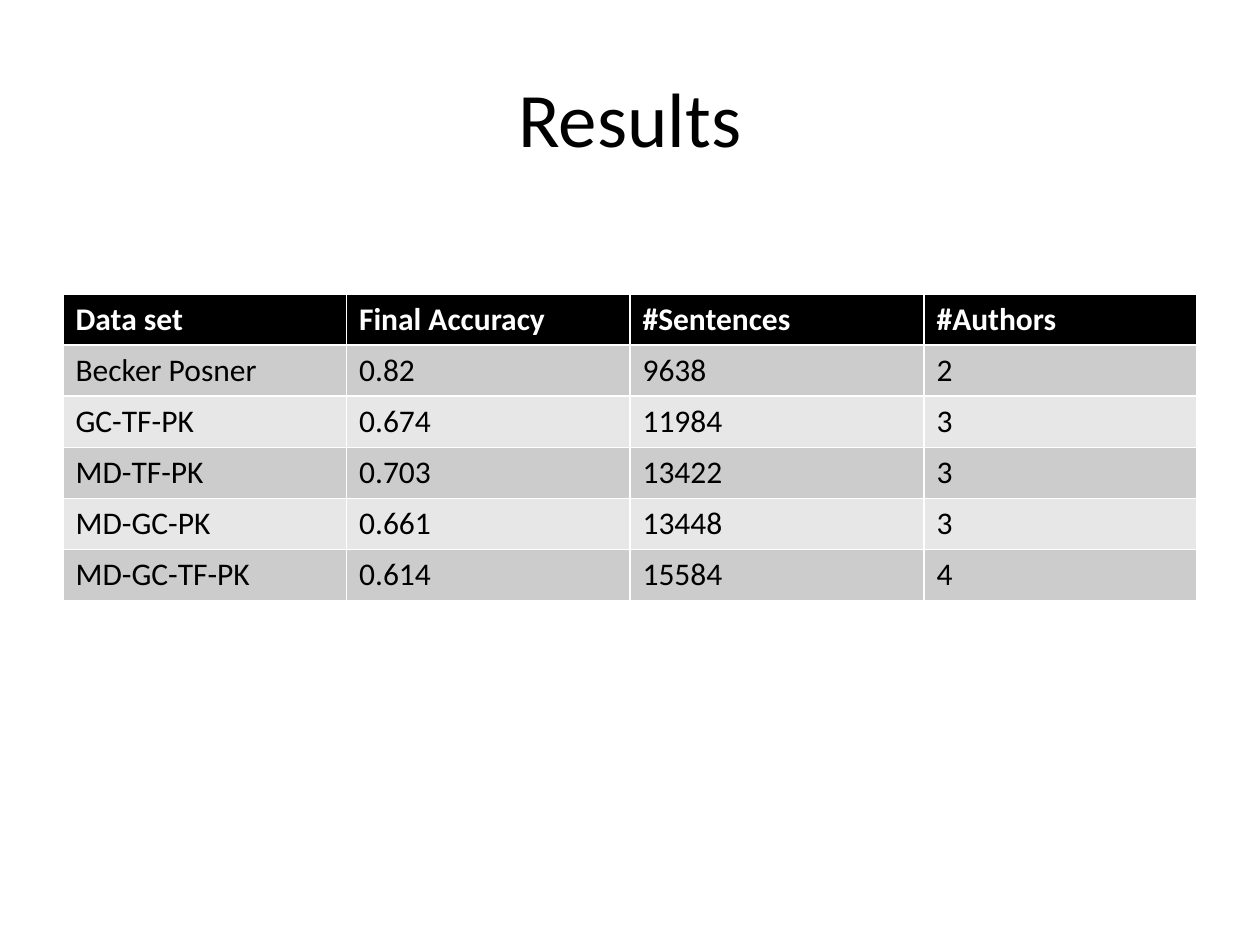
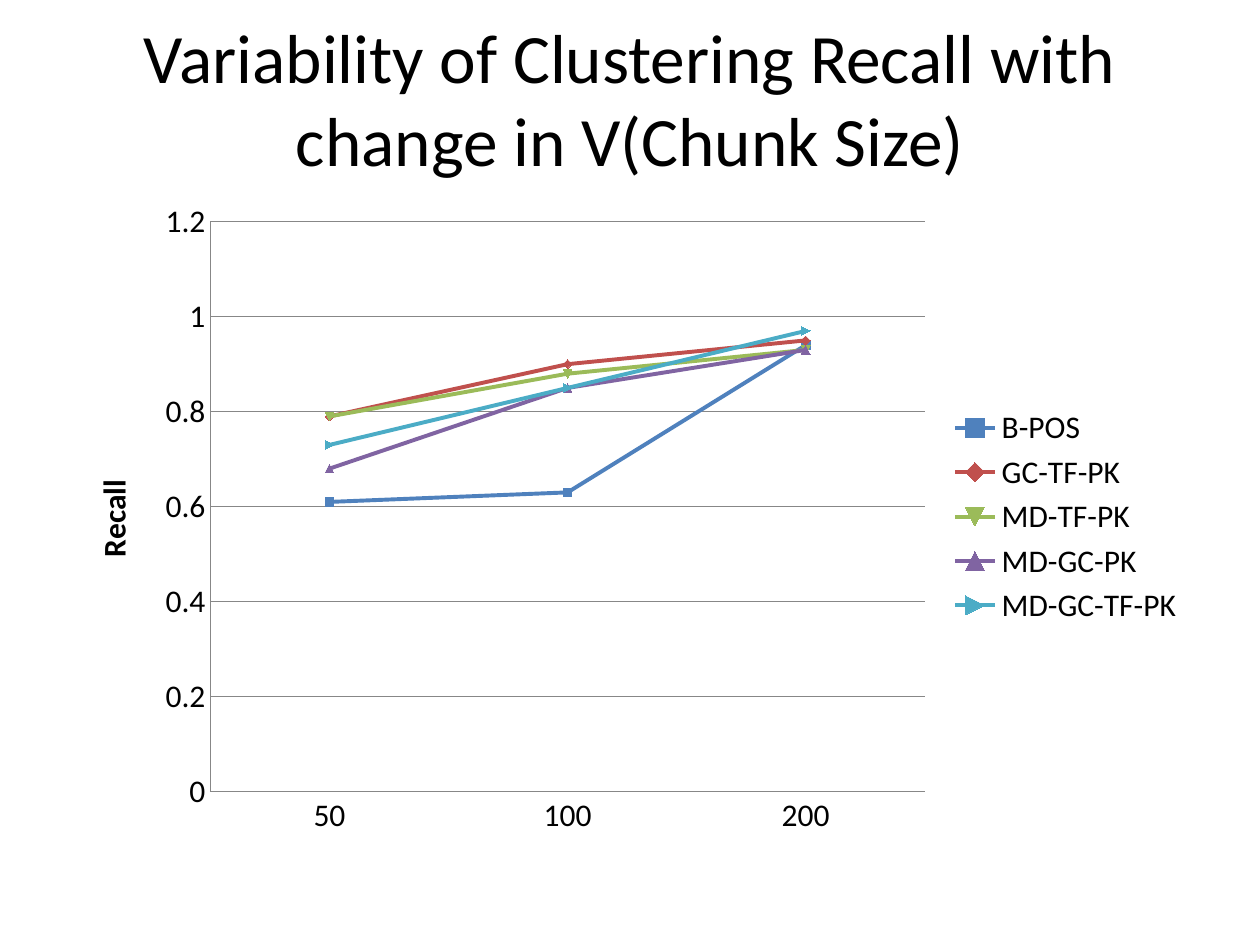
from dataclasses import dataclass

from lxml.etree import fromstring
from pptx import Presentation
from pptx.chart.data import CategoryChartData
from pptx.dml.color import RGBColor
from pptx.enum.chart import XL_CHART_TYPE, XL_LEGEND_POSITION, XL_TICK_MARK
from pptx.enum.text import MSO_ANCHOR, MSO_AUTO_SIZE, PP_ALIGN
from pptx.util import Pt


@dataclass(frozen=True)
class Theme:
    font: str = "Calibri"
    text: str = "000000"
    header_text: str = "FFFFFF"
    header_fill: str = "000000"
    bands: tuple = ("CCCCCC", "E7E7E7")
    axis: str = "878787"
    series: tuple = ("4F81BD", "C0504D", "9BBB59", "8064A2", "4BACC6")
    title_size: float = 44
    long_title_size: float = 39.6
    body_size: float = 18


theme = Theme()
margin = 36
content_width = 648


def style_font(font, size, color=theme.text, bold=False):
    font.name = theme.font
    font.size = Pt(size)
    font.bold = bold
    font.color.rgb = RGBColor.from_string(color)


def add_titled_slide(text, height, size):
    slide = presentation.slides.add_slide(presentation.slide_layouts[5])
    title = slide.shapes.title
    title.left, title.top = Pt(margin), Pt(21.6)
    title.width, title.height = Pt(content_width), Pt(height)
    frame = title.text_frame
    frame.text = text
    frame.word_wrap = True
    frame.auto_size = MSO_AUTO_SIZE.NONE
    frame.vertical_anchor = MSO_ANCHOR.MIDDLE
    paragraph = frame.paragraphs[0]
    paragraph.alignment = PP_ALIGN.CENTER
    style_font(paragraph.font, size)
    return slide


presentation = Presentation()
presentation.slide_width, presentation.slide_height = Pt(720), Pt(540)

results_slide = add_titled_slide("Results", 90, theme.title_size)
results = [
    ("Data set", "Final Accuracy", "#Sentences", "#Authors"),
    ("Becker Posner", "0.82", "9638", "2"),
    ("GC-TF-PK", "0.674", "11984", "3"),
    ("MD-TF-PK", "0.703", "13422", "3"),
    ("MD-GC-PK", "0.661", "13448", "3"),
    ("MD-GC-TF-PK", "0.614", "15584", "4"),
]
column_widths = (162, 162, 168, 156)
row_height = 29.2
table = results_slide.shapes.add_table(
    len(results), len(column_widths),
    Pt(margin), Pt(168), Pt(content_width), Pt(row_height * len(results)),
).table
for column, width in zip(table.columns, column_widths):
    column.width = Pt(width)
for row_index, values in enumerate(results):
    is_header = row_index == 0
    fill = theme.header_fill if is_header else theme.bands[(row_index - 1) % 2]
    color = theme.header_text if is_header else theme.text
    table.rows[row_index].height = Pt(row_height)
    for column_index, value in enumerate(values):
        cell = table.cell(row_index, column_index)
        cell.text = value
        cell.fill.solid()
        cell.fill.fore_color.rgb = RGBColor.from_string(fill)
        style_font(cell.text_frame.paragraphs[0].font, theme.body_size, color, is_header)

recall_slide = add_titled_slide(
    "Variability of Clustering Recall with change in V(Chunk Size)",
    68.4, theme.long_title_size,
)
recall_by_data_set = {
    "B-POS": (0.61, 0.63, 0.94),
    "GC-TF-PK": (0.79, 0.9, 0.95),
    "MD-TF-PK": (0.79, 0.88, 0.93),
    "MD-GC-PK": (0.68, 0.85, 0.93),
    "MD-GC-TF-PK": (0.73, 0.85, 0.97),
}
chart_data = CategoryChartData()
chart_data.categories = ["50", "100", "200"]
for name, values in recall_by_data_set.items():
    chart_data.add_series(name, values)
chart = recall_slide.shapes.add_chart(
    XL_CHART_TYPE.LINE_MARKERS,
    Pt(margin), Pt(108), Pt(content_width), Pt(374.4), chart_data,
).chart
style_font(chart.font, theme.body_size)
chart.has_title = False
chart.has_legend = True
chart.legend.position = XL_LEGEND_POSITION.RIGHT
chart.legend.include_in_layout = False

plot = chart.plots[0]
plot.vary_by_categories = False
for series, color in zip(plot.series, theme.series):
    series.smooth = False
    series.format.line.width = Pt(2.25)
    series.format.line.color.rgb = RGBColor.from_string(color)
    marker_fill = series.marker.format.fill
    marker_fill.solid()
    marker_fill.fore_color.rgb = RGBColor.from_string(color)

value_axis = chart.value_axis
value_axis.minimum_scale, value_axis.maximum_scale = 0, 1.2
value_axis.major_unit = 0.2
value_axis.has_major_gridlines = True
value_axis.axis_title.text_frame.text = "Recall"
style_font(value_axis.axis_title.text_frame.paragraphs[0].font, theme.body_size, bold=True)
for axis in (chart.category_axis, value_axis):
    axis.major_tick_mark = XL_TICK_MARK.NONE
    axis.minor_tick_mark = XL_TICK_MARK.NONE
for lines in (chart.category_axis, value_axis, value_axis.major_gridlines):
    lines.format.line.width = Pt(0.75)
    lines.format.line.color.rgb = RGBColor.from_string(theme.axis)

plot_area = chart.element.chart.plotArea
for old_layout in plot_area.xpath("c:layout"):
    plot_area.remove(old_layout)
plot_area.insert(0, fromstring(
    '<c:layout xmlns:c="http://schemas.openxmlformats.org/drawingml/2006/chart">'
    '<c:manualLayout><c:layoutTarget val="inner"/>'
    '<c:xMode val="edge"/><c:yMode val="edge"/>'
    '<c:x val="0.13"/><c:y val="0.05"/><c:w val="0.63"/><c:h val="0.87"/>'
    '</c:manualLayout></c:layout>'
))

presentation.save("out.pptx")
